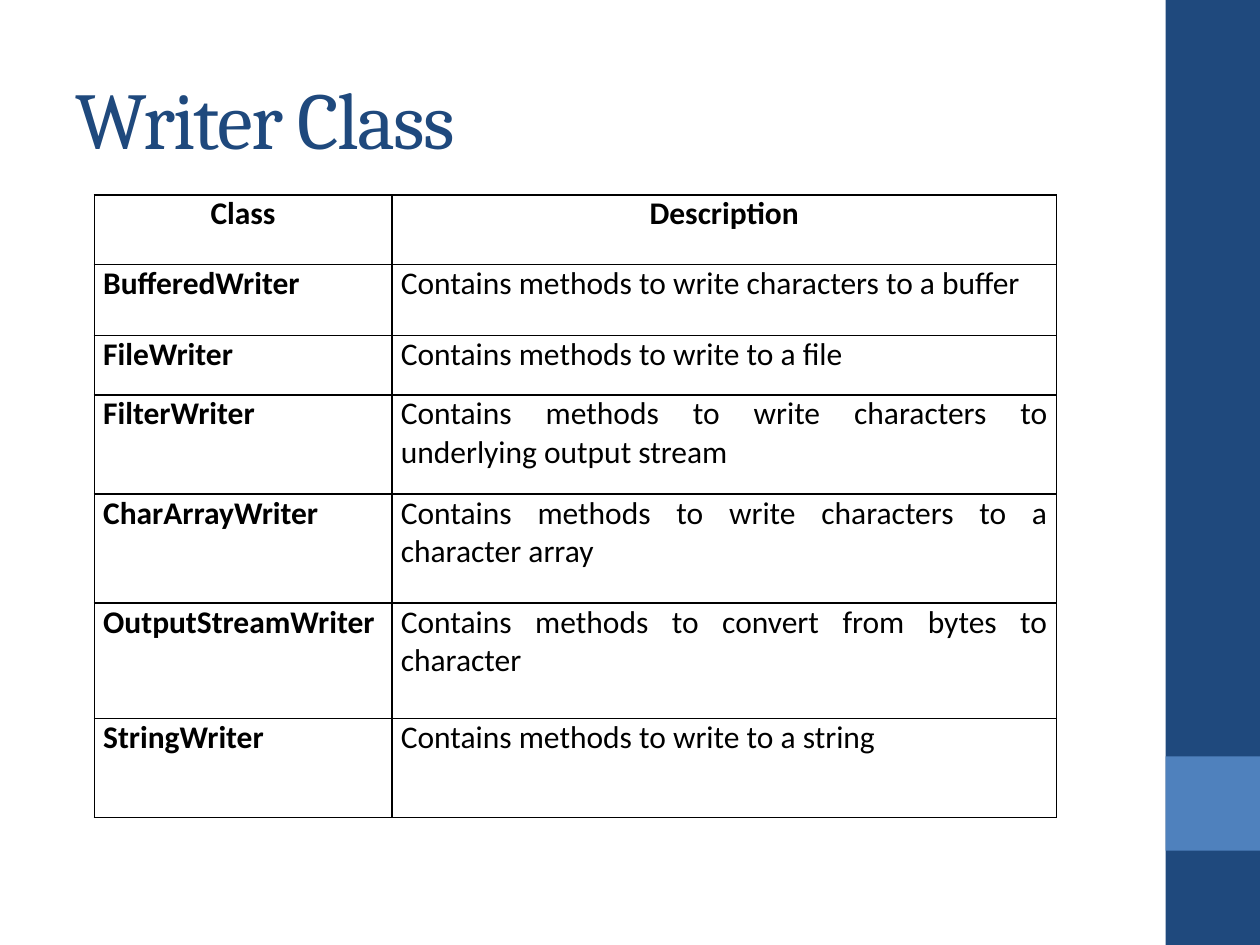
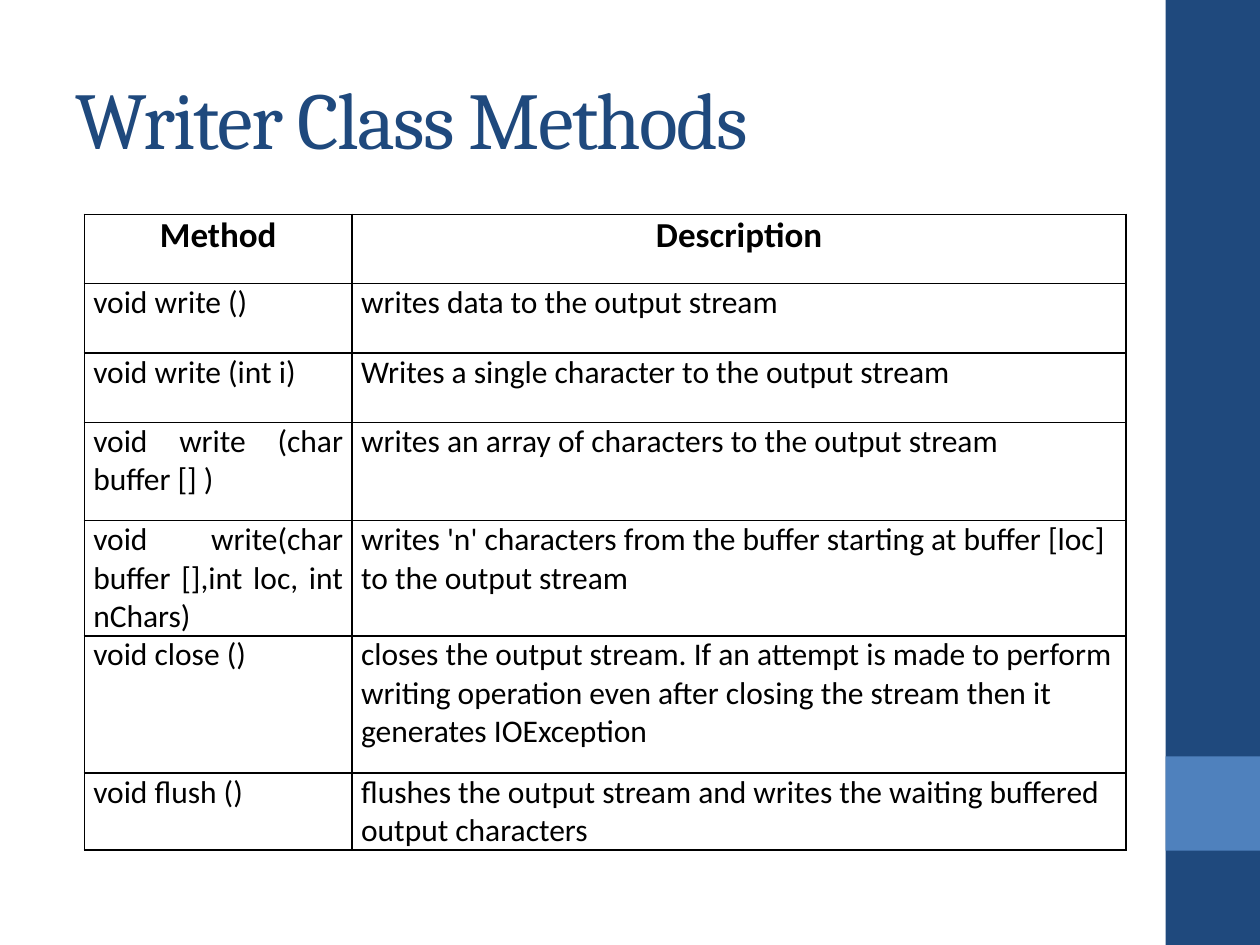
from lxml.etree import SubElement
from pptx import Presentation
from pptx.dml.color import RGBColor
from pptx.enum.shapes import MSO_SHAPE
from pptx.enum.text import MSO_ANCHOR, PP_ALIGN
from pptx.oxml.ns import qn
from pptx.util import Cm, Pt

NAVY, BLUE, BLACK, WHITE = "1F497D", "4F81BD", "000000", "FFFFFF"
HEAD, BODY = "Cambria", "Calibri"
WIDE, HIGH, BAND = 25.4, 19.05, 1.9

WRITERS = [
    ("Class", "Description"),
    ("BufferedWriter", "Contains methods to write characters to a buffer"),
    ("FileWriter", "Contains methods to write to a file"),
    ("FilterWriter", "Contains methods to write characters to underlying output stream"),
    ("CharArrayWriter", "Contains methods to write characters to a character array"),
    ("OutputStreamWriter", "Contains methods to convert from bytes to character"),
    ("StringWriter", "Contains methods to write to a string"),
]
METHODS = [
    ("Method", "Description"),
    ("void write ()", "writes data to the output stream"),
    ("void write (int i)", "Writes a single character to the output stream"),
    ("void write (char buffer [] )", "writes an array of characters to the output stream"),
    ("void write(char buffer [],int loc, int nChars)",
     "writes 'n' characters from the buffer starting at buffer [loc] to the output stream"),
    ("void close ()",
     "closes the output stream. If an attempt is made to perform writing operation "
     "even after closing the stream then it generates IOException"),
    ("void flush ()",
     "flushes the output stream and writes the waiting buffered output characters"),
]


def color(code):
    return RGBColor.from_string(code)


def style(para, name, size, code, bold=False):
    font = para.font
    font.name, font.size, font.bold = name, Pt(size), bold
    font.color.rgb = color(code)


def add_block(slide, left, top, width, height, code):
    block = slide.shapes.add_shape(
        MSO_SHAPE.RECTANGLE, Cm(left), Cm(top), Cm(width), Cm(height))
    block.shadow.inherit = False
    block.fill.solid()
    block.fill.fore_color.rgb = color(code)
    block.line.fill.background()


def add_band(slide, left, width):
    add_block(slide, left, 0, width, HIGH, NAVY)
    add_block(slide, left, HIGH - 2 * width, width, width, BLUE)


def add_title(slide, text, left, top, width, height):
    box = slide.shapes.add_textbox(Cm(left), Cm(top), Cm(width), Cm(height))
    frame = box.text_frame
    frame.word_wrap = True
    frame.vertical_anchor = MSO_ANCHOR.MIDDLE
    para = frame.paragraphs[0]
    run = para.add_run()
    run.text = text
    style(para, HEAD, 46, NAVY)
    run.font._element.set("spc", "-100")


def add_edges(cell):
    """Draw a thin black line on all four sides of the cell."""
    props = cell._tc.get_or_add_tcPr()
    for side in "LRTB":
        line = SubElement(props, qn(f"a:ln{side}"), w=str(Pt(1)))
        fill = SubElement(line, qn("a:solidFill"))
        SubElement(fill, qn("a:srgbClr"), val=BLACK)


def fill_cell(cell, text, align, size, bold):
    cell.margin_left = cell.margin_right = Cm(0.18)
    cell.margin_top = cell.margin_bottom = 0
    add_edges(cell)
    cell.fill.solid()
    cell.fill.fore_color.rgb = color(WHITE)
    cell.text = text
    para = cell.text_frame.paragraphs[0]
    para.alignment = align
    style(para, BODY, size, BLACK, bold)


def add_grid(slide, rows, left, top, widths, heights, size=18, names=False, ragged=0):
    """size is for the header, names bolds column one, ragged counts left-aligned last rows."""
    grid = slide.shapes.add_table(
        len(rows), len(widths), Cm(left), Cm(top),
        Cm(sum(widths)), Cm(sum(heights))).table
    for col, width in zip(grid.columns, widths):
        col.width = Cm(width)
    for r, (row, height) in enumerate(zip(rows, heights)):
        grid.rows[r].height = Cm(height)
        for c, text in enumerate(row):
            if r == 0:
                align = PP_ALIGN.CENTER
            elif c and r >= len(rows) - ragged:
                align = PP_ALIGN.LEFT
            else:
                align = PP_ALIGN.JUSTIFY
            bold = r == 0 or (names and c == 0)
            fill_cell(grid.cell(r, c), text, align, 18 if r else size, bold)


def add_page(deck, title):
    slide = deck.slides.add_slide(deck.slide_layouts[6])
    add_band(slide, WIDE - BAND, BAND)
    add_title(slide, title, 1.27, 0.8, 21.16, 3.94 - 0.8)
    return slide


def main():
    deck = Presentation()
    deck.slide_width, deck.slide_height = Cm(WIDE), Cm(HIGH)
    add_grid(add_page(deck, "Writer Class"), WRITERS, 1.9, 3.93, (6, 13.4),
             (1.4, 1.43, 1.2, 2, 2.2, 2.32, 2), names=True)
    add_grid(add_page(deck, "Writer Class Methods"), METHODS, 1.7, 4.32, (5.4, 15.6),
             (1.4, 1.4, 1.4, 1.98, 2.32, 2.77, 1.55), size=20, ragged=3)
    deck.save("out.pptx")


if __name__ == "__main__":
    main()
